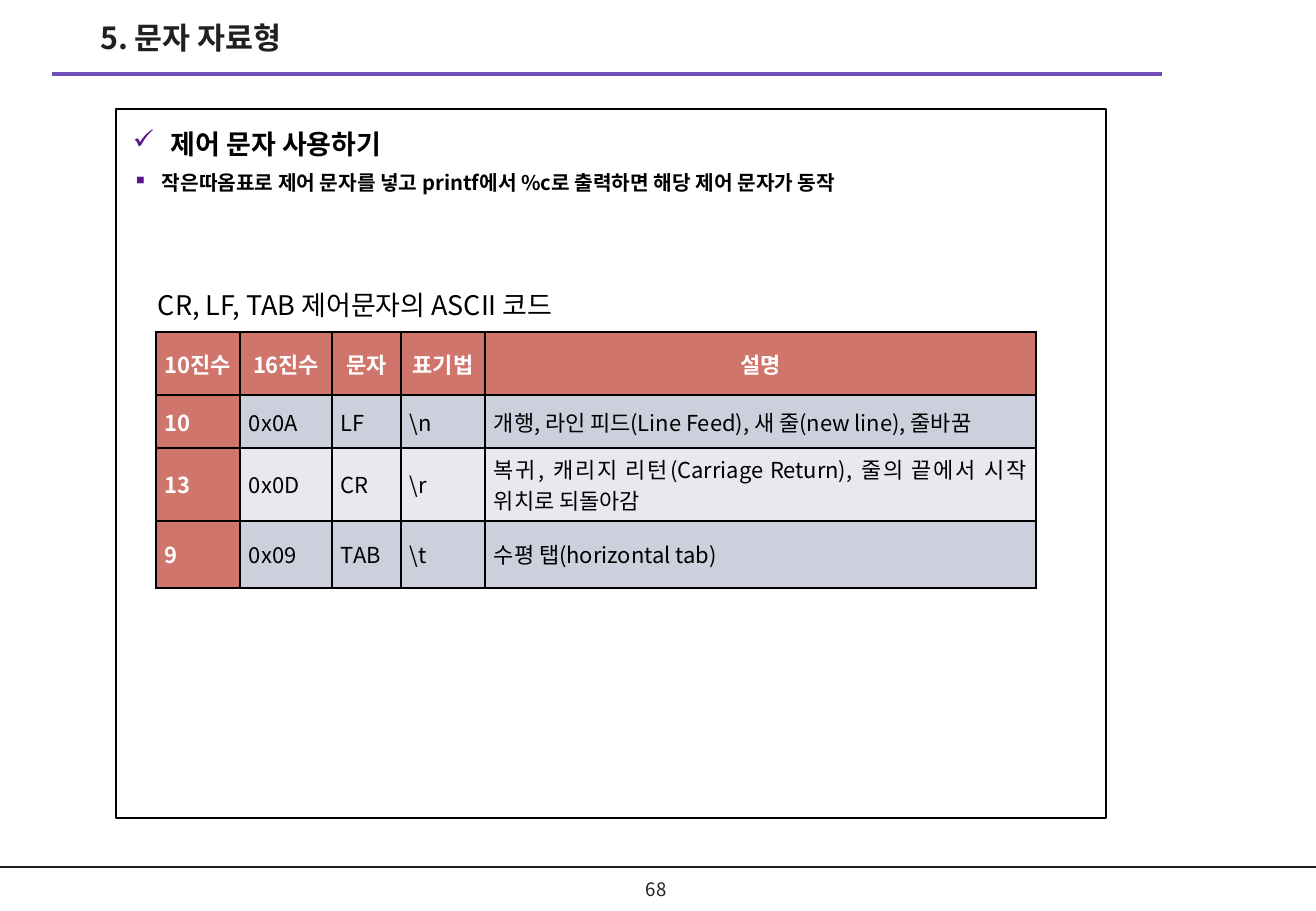
"""Build a slide about control characters and their ASCII codes."""
import dataclasses

import lxml.etree
import pptx
import pptx.dml.color
import pptx.enum.shapes
import pptx.enum.text
import pptx.oxml.ns
import pptx.util

qn = pptx.oxml.ns.qn
ALIGN = pptx.enum.text.PP_ALIGN
ANCHOR = pptx.enum.text.MSO_ANCHOR


@dataclasses.dataclass(frozen=True)
class Theme:
    """Colours, font and type sizes of the slide."""
    font: str = "Noto Sans CJK KR"
    dark: str = "221F1F"
    black: str = "000000"
    white: str = "FFFFFF"
    purple: str = "724FB7"
    bullet: str = "54158D"
    head: str = "D0756C"
    bands: tuple = ("CCCFDC", "E8E9EE")
    title: int = 18
    heading: int = 16
    cell: int = 13
    body: int = 12
    page: int = 11


THEME = Theme()
POINTS = (
    ("✓", "제어 문자 사용하기", THEME.heading, 38),
    ("▪", "작은따옴표로 제어 문자를 넣고 printf에서 %c로 출력하면 해당 제어 문자가 동작", THEME.body, 29),
)
COLUMNS = (84, 92, 69, 84, 551)
ROWS = (63, 53, 73, 67)
CODES = (
    ("10진수", "16진수", "문자", "표기법", "설명"),
    ("10", "0x0A", "LF", "\\n", "개행, 라인 피드(Line Feed), 새 줄(new line), 줄바꿈"),
    ("13", "0x0D", "CR", "\\r", "복귀, 캐리지 리턴(Carriage Return), 줄의 끝에서 시작 위치로 되돌아감"),
    ("9", "0x09", "TAB", "\\t", "수평 탭(horizontal tab)"),
)


def px(n):
    """Turn pixels into EMU."""
    return pptx.util.Emu(round(n * 914400 / 121.5))


def rgb(color):
    """Return a colour object for a hex string."""
    return pptx.dml.color.RGBColor.from_string(color)


def write(p, text, size, color, bold=False, align=ALIGN.LEFT):
    """Put formatted text into a paragraph."""
    p.text = text
    p.alignment = align
    p.font.name = THEME.font
    p.font.size = pptx.util.Pt(size)
    p.font.bold = bold
    p.font.color.rgb = rgb(color)
    latin = p.font._element.find(qn("a:latin"))
    ea = latin.makeelement(qn("a:ea"), {"typeface": THEME.font})
    latin.addnext(ea)


def add_rule(s, left, right, y, color, width):
    """Draw a horizontal line."""
    line = s.shapes.add_connector(
        pptx.enum.shapes.MSO_CONNECTOR.STRAIGHT, px(left), px(y), px(right), px(y))
    line.line.color.rgb = rgb(color)
    line.line.width = pptx.util.Pt(width)
    lxml.etree.SubElement(line._element.spPr, qn("a:effectLst"))


def add_title(s, text, box):
    """Place and format the title placeholder."""
    sp = s.shapes.title
    sp.left, sp.top, sp.width, sp.height = map(px, box)
    tf = sp.text_frame
    tf.auto_size = pptx.enum.text.MSO_AUTO_SIZE.NONE
    tf.vertical_anchor = ANCHOR.TOP
    write(tf.paragraphs[0], text, THEME.title, THEME.dark, True)


def add_label(s, text, box, size, color, align=ALIGN.LEFT, anchor=ANCHOR.TOP):
    """Add a one-paragraph text box."""
    tf = s.shapes.add_textbox(*map(px, box)).text_frame
    tf.word_wrap = True
    tf.vertical_anchor = anchor
    write(tf.paragraphs[0], text, size, color, align=align)


def add_bullet(p, char, indent):
    """Give a paragraph a coloured bullet and a hanging indent."""
    pPr = p._p.get_or_add_pPr()
    pPr.set("marL", str(px(indent)))
    pPr.set("indent", str(-px(indent)))
    color = pPr.makeelement(qn("a:buClr"), {})
    lxml.etree.SubElement(color, qn("a:srgbClr"), val=THEME.bullet)
    mark = pPr.makeelement(qn("a:buChar"), {"char": char})
    pPr.find(qn("a:defRPr")).addprevious(color)
    color.addnext(mark)


def add_panel(s, points, box):
    """Add the outlined panel with its bullet points."""
    sp = s.shapes.add_shape(pptx.enum.shapes.MSO_SHAPE.RECTANGLE, *map(px, box))
    sp.shadow.inherit = False
    sp.fill.background()
    sp.line.color.rgb = rgb(THEME.black)
    sp.line.width = pptx.util.Pt(0.75)
    tf = sp.text_frame
    tf.word_wrap = True
    tf.vertical_anchor = ANCHOR.TOP
    tf.margin_left = tf.margin_right = px(17)
    tf.margin_top = tf.margin_bottom = px(9)
    for i, (char, text, size, indent) in enumerate(points):
        p = tf.add_paragraph() if i else tf.paragraphs[0]
        write(p, text, size, THEME.black, True)
        p.line_spacing = 1.3
        p.space_before = pptx.util.Pt(2)
        add_bullet(p, char, indent)


def add_borders(cell):
    """Draw black lines on all four sides of a cell."""
    tcPr = cell._tc.get_or_add_tcPr()
    for side in ("lnL", "lnR", "lnT", "lnB"):
        ln = lxml.etree.SubElement(tcPr, qn("a:" + side), w=str(pptx.util.Pt(1)))
        fill = lxml.etree.SubElement(ln, qn("a:solidFill"))
        lxml.etree.SubElement(fill, qn("a:srgbClr"), val=THEME.black)


def add_code_table(s, left, top):
    """Add the table of control character codes."""
    table = s.shapes.add_table(
        len(ROWS), len(COLUMNS), px(left), px(top), px(sum(COLUMNS)), px(sum(ROWS))).table
    table.first_row = table.horz_banding = False
    for column, width in zip(table.columns, COLUMNS):
        column.width = px(width)
    for i, (row, height) in enumerate(zip(table.rows, ROWS)):
        row.height = px(height)
        for j, cell in enumerate(row.cells):
            head = i == 0 or j == 0
            cell.margin_left = cell.margin_right = px(9)
            cell.margin_top = cell.margin_bottom = 0
            cell.vertical_anchor = ANCHOR.MIDDLE
            add_borders(cell)
            cell.fill.solid()
            cell.fill.fore_color.rgb = rgb(THEME.head if head else THEME.bands[(i - 1) % 2])
            write(cell.text_frame.paragraphs[0], CODES[i][j], THEME.cell,
                  THEME.white if head else THEME.black, head,
                  ALIGN.JUSTIFY if i else ALIGN.CENTER)


def main():
    """Build and save the slide."""
    prs = pptx.Presentation()
    prs.slide_width, prs.slide_height = px(1316), px(911)
    s = prs.slides.add_slide(prs.slide_layouts[5])
    add_rule(s, 0, 1316, 867, THEME.dark, 1)
    add_rule(s, 52, 1162, 74, THEME.purple, 2.25)
    add_label(s, "68", (619, 869, 74, 40), THEME.page, THEME.dark, ALIGN.CENTER, ANCHOR.MIDDLE)
    add_title(s, "5. 문자 자료형", (88, 13, 674, 58))
    add_panel(s, POINTS, (116, 109, 990, 709))
    add_label(s, "CR, LF, TAB 제어문자의 ASCII 코드", (146, 283, 1008, 53),
              THEME.heading, THEME.black)
    add_code_table(s, 156, 332)
    prs.save("out.pptx")


if __name__ == "__main__":
    main()
